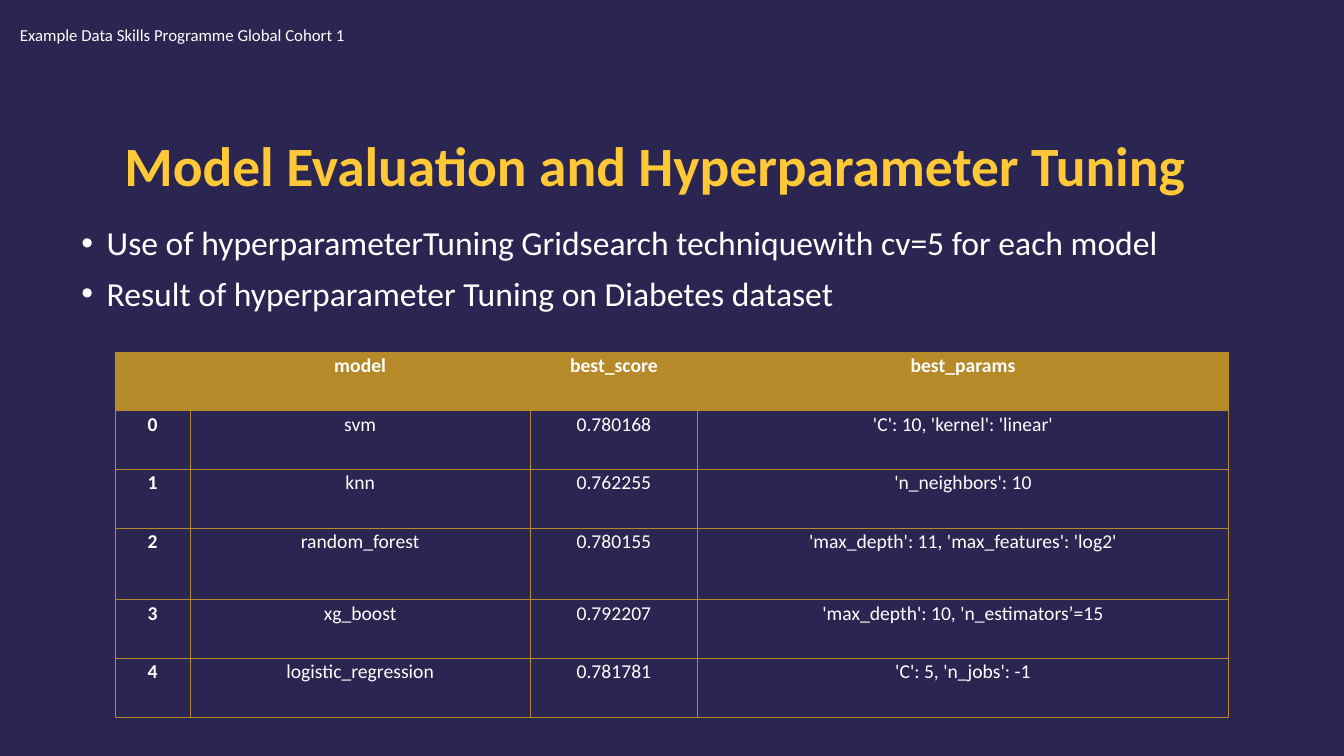
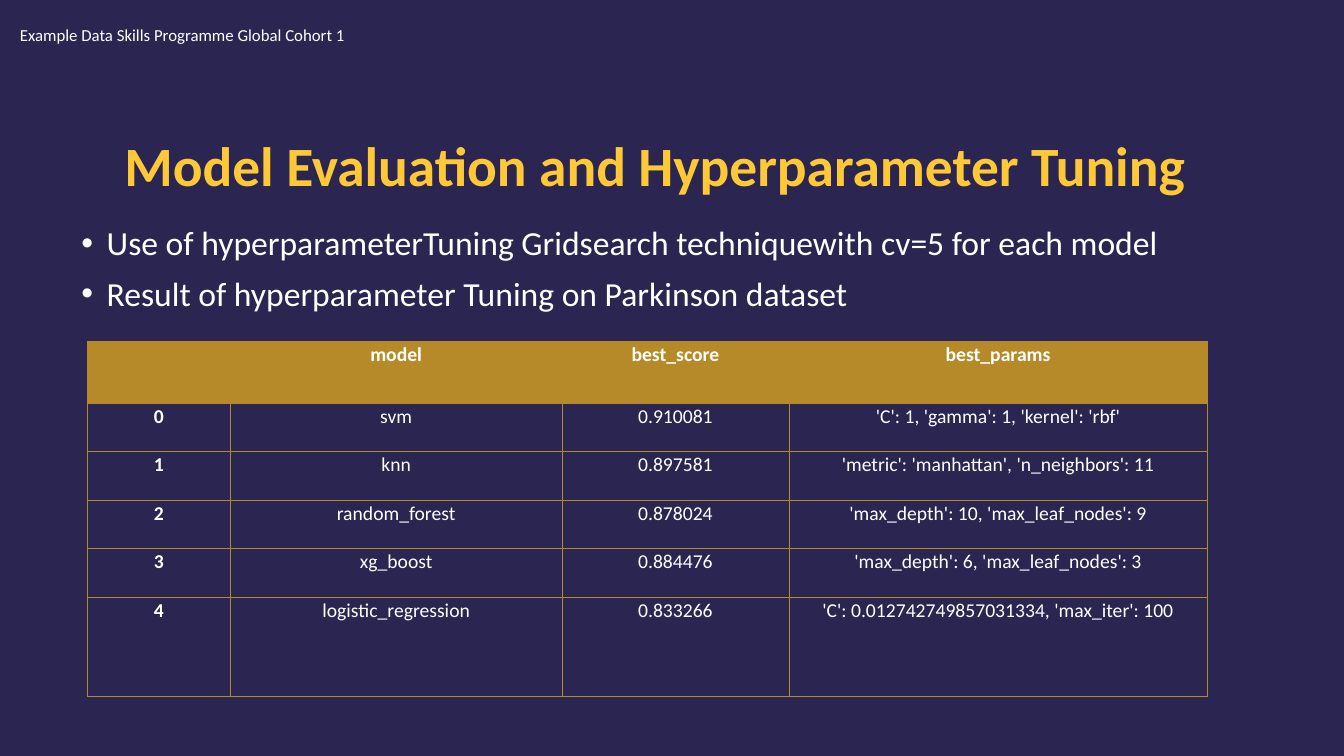
"""Build two slides on model evaluation and hyperparameter tuning."""
from dataclasses import dataclass

from lxml import etree
from pptx import Presentation
from pptx.dml.color import RGBColor
from pptx.enum.text import MSO_ANCHOR, PP_ALIGN
from pptx.oxml.ns import qn
from pptx.util import Emu, Inches, Pt

TOP = MSO_ANCHOR.TOP
MIDDLE = MSO_ANCHOR.MIDDLE
LEFT = PP_ALIGN.LEFT
CENTER = PP_ALIGN.CENTER

SLIDE_WIDTH, SLIDE_HEIGHT = Inches(13.33), Inches(7.5)
GRID_UNIT = Inches(0.1)
FONT = "Calibri"
BACKGROUND, GOLD, YELLOW = "2B2551", "B68A29", "FFC837"
WHITE, SOFT_WHITE = "FFFFFF", "FEFFFE"
BORDER_WIDTH = Pt(0.5)
BULLET_INDENT = Inches(0.25)
CELL_MARGIN = Inches(0.07)

PROGRAMME = "Example Data Skills Programme Global Cohort 1"
TITLE = "Model Evaluation and Hyperparameter Tuning"
TECHNIQUE = "Use of hyperparameterTuning Gridsearch techniquewith cv=5 for each model"
HEADINGS = ("", "model", "best_score", "best_params")
MODELS = ("svm", "knn", "random_forest", "xg_boost", "logistic_regression")


@dataclass(frozen=True)
class Box:
    """Place and size in grid units."""

    left: float
    top: float
    width: float
    height: float

    def emu(self) -> tuple[Emu, Emu, Emu, Emu]:
        """Return the box as slide lengths."""
        return grid(self.left), grid(self.top), grid(self.width), grid(self.height)


@dataclass(frozen=True)
class TextStyle:
    """Look of a run and its paragraph."""

    size: float
    color: str
    bold: bool = False
    alignment: PP_ALIGN = LEFT
    line_spacing: float = 1.0
    before: float = 0
    after: float = 0
    bullet: bool = False


@dataclass(frozen=True)
class Result:
    """Best score and parameters of one model."""

    score: str
    params: str


@dataclass(frozen=True)
class ResultSlide:
    """One dataset with its results and table grid."""

    dataset: str
    table_left: float
    table_top: float
    columns: tuple[float, ...]
    rows: tuple[float, ...]
    results: tuple[Result, ...]


PROGRAMME_BOX = Box(1, 1.95, 55.4, 3)
TITLE_BOX = Box(11.35, 11.65, 110.6, 10.1)
BODY_BOX = Box(7.1, 22, 114.8, 53)

PROGRAMME_STYLE = TextStyle(12, SOFT_WHITE)
TITLE_STYLE = TextStyle(39.6, YELLOW, bold=True, line_spacing=0.9)
BODY_STYLE = TextStyle(24, WHITE, line_spacing=0.9, before=10, bullet=True)
HEADING_STYLE = TextStyle(14, WHITE, True, CENTER, 1.07, after=8)
INDEX_STYLE = TextStyle(14, SOFT_WHITE, True, CENTER, 1.07, after=8)
VALUE_STYLE = TextStyle(14, SOFT_WHITE, False, CENTER, 1.07, after=8)

RESULT_SLIDES = (
    ResultSlide(
        "Diabetes", 11.45, 34.92,
        (7.4, 33.75, 16.6, 52.65),
        (5.83, 5.83, 5.83, 7.1, 5.83, 5.83),
        (
            Result("0.780168", "'C': 10, 'kernel': 'linear'"),
            Result("0.762255", "'n_neighbors': 10"),
            Result("0.780155", "'max_depth': 11, 'max_features': 'log2'"),
            Result("0.792207", "'max_depth': 10, 'n_estimators’=15"),
            Result("0.781781", "'C': 5, 'n_jobs': -1"),
        ),
    ),
    ResultSlide(
        "Parkinson", 8.65, 33.87,
        (14.2, 32.9, 22.5, 41.5),
        (6.1, 4.82, 4.82, 4.82, 4.82, 9.8),
        (
            Result("0.910081", "'C': 1, 'gamma': 1, 'kernel': 'rbf'"),
            Result("0.897581", "'metric': 'manhattan', 'n_neighbors': 11"),
            Result("0.878024", "'max_depth': 10, 'max_leaf_nodes': 9"),
            Result("0.884476", "'max_depth': 6, 'max_leaf_nodes': 3"),
            Result("0.833266", "'C': 0.012742749857031334, 'max_iter': 100"),
        ),
    ),
)


def grid(units: float) -> Emu:
    """Turn grid units into a slide length."""
    return Emu(round(units * GRID_UNIT))


def rgb(color: str) -> RGBColor:
    """Turn a hex string into a colour."""
    return RGBColor.from_string(color)


def add_bullet(paragraph) -> None:
    """Give a paragraph a hanging round bullet."""
    properties = paragraph._p.get_or_add_pPr()
    properties.set("marL", str(BULLET_INDENT))
    properties.set("indent", str(-BULLET_INDENT))
    etree.SubElement(properties, qn("a:buFont"), typeface="Arial")
    etree.SubElement(properties, qn("a:buChar"), char="•")


def write_paragraph(paragraph, text: str, style: TextStyle) -> None:
    """Add one styled run to a paragraph."""
    paragraph.alignment = style.alignment
    paragraph.line_spacing = style.line_spacing
    paragraph.space_before = Pt(style.before)
    paragraph.space_after = Pt(style.after)
    if style.bullet:
        add_bullet(paragraph)
    run = paragraph.add_run()
    run.text = text
    run.font.name = FONT
    run.font.size = Pt(style.size)
    run.font.bold = style.bold
    run.font.color.rgb = rgb(style.color)


def add_text(slide, box: Box, lines: tuple[str, ...], style: TextStyle,
             anchor: MSO_ANCHOR = TOP) -> None:
    """Add a wrapped text box with one paragraph per line."""
    frame = slide.shapes.add_textbox(*box.emu()).text_frame
    frame.word_wrap = True
    frame.vertical_anchor = anchor
    for index, line in enumerate(lines):
        paragraph = frame.add_paragraph() if index else frame.paragraphs[0]
        write_paragraph(paragraph, line, style)


def add_borders(cell) -> None:
    """Draw a thin gold line on each side of a cell."""
    properties = cell._tc.get_or_add_tcPr()
    for side in ("a:lnL", "a:lnR", "a:lnT", "a:lnB"):
        line = etree.SubElement(properties, qn(side), w=str(BORDER_WIDTH))
        fill = etree.SubElement(line, qn("a:solidFill"))
        etree.SubElement(fill, qn("a:srgbClr"), val=GOLD)


def fill_cell(cell, text: str, style: TextStyle, heading: bool) -> None:
    """Set the borders, fill and text of a table cell."""
    add_borders(cell)
    if heading:
        cell.fill.solid()
        cell.fill.fore_color.rgb = rgb(GOLD)
    else:
        cell.fill.background()
    cell.margin_left = cell.margin_right = CELL_MARGIN
    cell.margin_top = cell.margin_bottom = 0
    if text:
        write_paragraph(cell.text_frame.paragraphs[0], text, style)


def add_result_table(slide, content: ResultSlide) -> None:
    """Add the table of best scores and parameters."""
    records = [HEADINGS] + [
        (str(index), model, result.score, result.params)
        for index, (model, result) in enumerate(zip(MODELS, content.results))
    ]
    box = Box(content.table_left, content.table_top,
              sum(content.columns), sum(content.rows))
    table = slide.shapes.add_table(len(records), len(HEADINGS), *box.emu()).table
    table.first_row = table.horz_banding = False
    for column, width in zip(table.columns, content.columns):
        column.width = grid(width)
    for row, height in zip(table.rows, content.rows):
        row.height = grid(height)
    for row_index, record in enumerate(records):
        heading = row_index == 0
        for column_index, text in enumerate(record):
            body_style = VALUE_STYLE if column_index else INDEX_STYLE
            style = HEADING_STYLE if heading else body_style
            fill_cell(table.cell(row_index, column_index), text, style, heading)


def add_result_slide(presentation, content: ResultSlide) -> None:
    """Add one complete result slide."""
    slide = presentation.slides.add_slide(presentation.slide_layouts[6])
    slide.background.fill.solid()
    slide.background.fill.fore_color.rgb = rgb(BACKGROUND)
    add_text(slide, TITLE_BOX, (TITLE,), TITLE_STYLE, MIDDLE)
    outcome = f"Result of hyperparameter Tuning on {content.dataset} dataset"
    add_text(slide, BODY_BOX, (TECHNIQUE, outcome), BODY_STYLE)
    add_text(slide, PROGRAMME_BOX, (PROGRAMME,), PROGRAMME_STYLE)
    add_result_table(slide, content)


def main() -> None:
    """Build and save the presentation."""
    presentation = Presentation()
    presentation.slide_width = SLIDE_WIDTH
    presentation.slide_height = SLIDE_HEIGHT
    for content in RESULT_SLIDES:
        add_result_slide(presentation, content)
    presentation.save("out.pptx")


if __name__ == "__main__":
    main()
